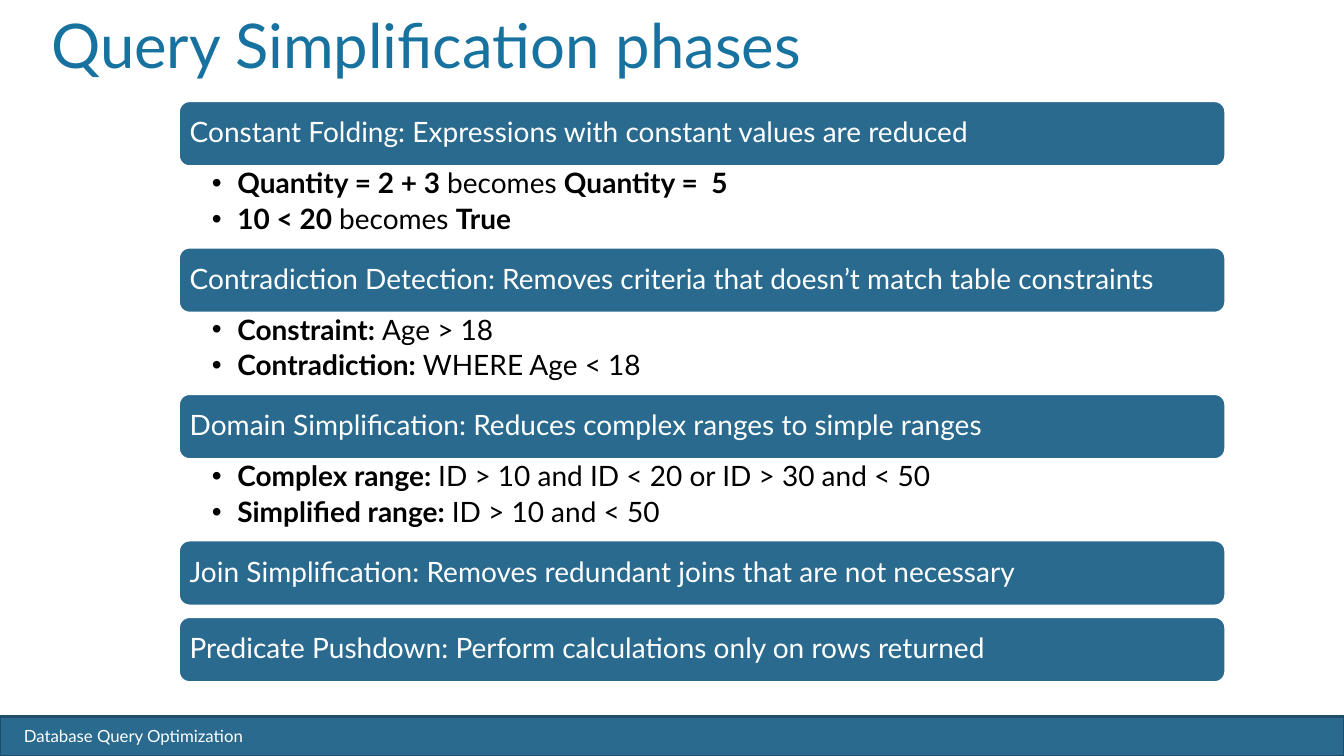
"""Build the slide on the phases of query simplification."""
from lxml.etree import SubElement
from pptx import Presentation
from pptx.dml.color import RGBColor
from pptx.enum.shapes import MSO_SHAPE
from pptx.enum.text import MSO_ANCHOR, MSO_AUTO_SIZE, PP_ALIGN
from pptx.oxml.ns import qn
from pptx.util import Cm, Pt

BLUE = RGBColor(0x29, 0x6A, 0x8E)
DARK_BLUE = RGBColor(0x1E, 0x4E, 0x69)
TITLE_BLUE = RGBColor(0x18, 0x72, 0xA0)
WHITE = RGBColor(0xFF, 0xFF, 0xFF)
BLACK = RGBColor(0, 0, 0)

SLIDE_WIDTH, SLIDE_HEIGHT = Cm(33.87), Cm(19.05)
PHASE_LEFT, PHASE_WIDTH = Cm(4.5), Cm(26.39)
FIRST_TOP = Cm(2.54)
HEADING_HEIGHT, EXAMPLES_HEIGHT, HEADING_GAP = Cm(1.66), Cm(2.03), Cm(0.27)
BULLET_INDENT = Cm(0.64)

PHASES = [
    ("Constant Folding: Expressions with constant values are reduced",
     [[("Quantity = 2 + 3 ", True), ("becomes ", False), ("Quantity =  5", True)],
      [("10 < 20 ", True), ("becomes ", False), ("True", True)]]),
    ("Contradiction Detection: Removes criteria that doesn’t match table constraints",
     [[("Constraint: ", True), ("Age > 18", False)],
      [("Contradiction: ", True), ("WHERE Age < 18", False)]]),
    ("Domain Simplification: Reduces complex ranges to simple ranges",
     [[("Complex range: ", True), ("ID > 10 and ID < 20 or ID > 30 and < 50", False)],
      [("Simplified range: ", True), ("ID > 10 and < 50", False)]]),
    ("Join Simplification: Removes redundant joins that are not necessary", []),
    ("Predicate Pushdown: Perform calculations only on rows returned", []),
]


def style(paragraph, size, color):
    """Set the font and left alignment of a paragraph."""
    paragraph.alignment = PP_ALIGN.LEFT
    paragraph.font.name = "Lato"
    paragraph.font.size = Pt(size)
    paragraph.font.color.rgb = color


def place(shape, left, top, width, height):
    """Move and size a placeholder."""
    shape.left, shape.top, shape.width, shape.height = left, top, width, height


def set_frame(frame, anchor, left, top, right, bottom):
    """Set the anchor and insets of a text frame."""
    frame.word_wrap = True
    frame.auto_size = MSO_AUTO_SIZE.NONE
    frame.vertical_anchor = anchor
    frame.margin_left, frame.margin_top = left, top
    frame.margin_right, frame.margin_bottom = right, bottom


def add_box(slide, preset, bounds, outline):
    """Add a blue box with an outline and no shadow."""
    box = slide.shapes.add_shape(preset, *bounds)
    box.shadow.inherit = False
    box.fill.solid()
    box.fill.fore_color.rgb = BLUE
    box.line.color.rgb = outline
    box.line.width = Pt(2)
    return box


def add_heading(slide, top, text):
    """Add the rounded heading of one phase."""
    bounds = PHASE_LEFT, top, PHASE_WIDTH, HEADING_HEIGHT
    heading = add_box(slide, MSO_SHAPE.ROUNDED_RECTANGLE, bounds, WHITE)
    set_frame(heading.text_frame, MSO_ANCHOR.MIDDLE, *[Cm(0.2)] * 4)
    paragraph = heading.text_frame.paragraphs[0]
    paragraph.text = text
    paragraph.line_spacing = 0.9
    style(paragraph, 20, WHITE)


def add_bullet(paragraph):
    """Give a paragraph a round bullet with a hanging indent."""
    properties = paragraph._p.get_or_add_pPr()
    properties.set("marL", str(BULLET_INDENT))
    properties.set("indent", str(-BULLET_INDENT))
    SubElement(properties, qn("a:buFont"), typeface="Arial")
    SubElement(properties, qn("a:buChar"), char="•")


def fill_examples(body, top, examples):
    """Fill a body placeholder with the examples of one phase."""
    place(body, PHASE_LEFT, top, PHASE_WIDTH, EXAMPLES_HEIGHT)
    frame = body.text_frame
    set_frame(frame, MSO_ANCHOR.TOP, Cm(0.84), Cm(0.07), Cm(0.4), Cm(0.07))
    for index, example in enumerate(examples):
        paragraph = frame.add_paragraph() if index else frame.paragraphs[0]
        paragraph.line_spacing = 0.9
        paragraph.space_before = Pt(0)
        paragraph.space_after = Pt(4)
        add_bullet(paragraph)
        style(paragraph, 20, BLACK)
        for text, bold in example:
            run = paragraph.add_run()
            run.text = text
            run.font.bold = bold


def fill_title(title, text):
    """Fill and move the slide title."""
    place(title, Cm(1.04), Cm(0.66), Cm(30.48), Cm(3.18))
    set_frame(title.text_frame, MSO_ANCHOR.TOP, Cm(0.25), Cm(0.13), Cm(0.25), Cm(0.13))
    paragraph = title.text_frame.paragraphs[0]
    paragraph.text = text
    paragraph.line_spacing = Pt(35)
    style(paragraph, 44, TITLE_BLUE)


def add_footer(slide, text):
    """Add the footer bar and its caption."""
    add_box(slide, MSO_SHAPE.RECTANGLE, (0, Cm(18.05), SLIDE_WIDTH, Cm(1.02)), DARK_BLUE)
    caption = slide.shapes.add_textbox(Cm(0.35), Cm(18.16), Cm(6.6), Cm(0.77))
    caption.text_frame.word_wrap = True
    paragraph = caption.text_frame.paragraphs[0]
    paragraph.text = text
    style(paragraph, 12, WHITE)


def main():
    """Build and save the slide."""
    presentation = Presentation()
    presentation.slide_width, presentation.slide_height = SLIDE_WIDTH, SLIDE_HEIGHT
    comparison_layout = presentation.slide_layouts[4]
    slide = presentation.slides.add_slide(comparison_layout)
    title, *bodies = list(slide.placeholders)
    fill_title(title, "Query Simplification phases")
    add_footer(slide, "Database Query Optimization")

    top = FIRST_TOP
    for heading, examples in PHASES:
        add_heading(slide, top, heading)
        top += HEADING_HEIGHT
        if examples:
            fill_examples(bodies.pop(0), top, examples)
            top += EXAMPLES_HEIGHT
        else:
            top += HEADING_GAP
    for unused in bodies:
        unused._element.getparent().remove(unused._element)
    presentation.save("out.pptx")


if __name__ == "__main__":
    main()
